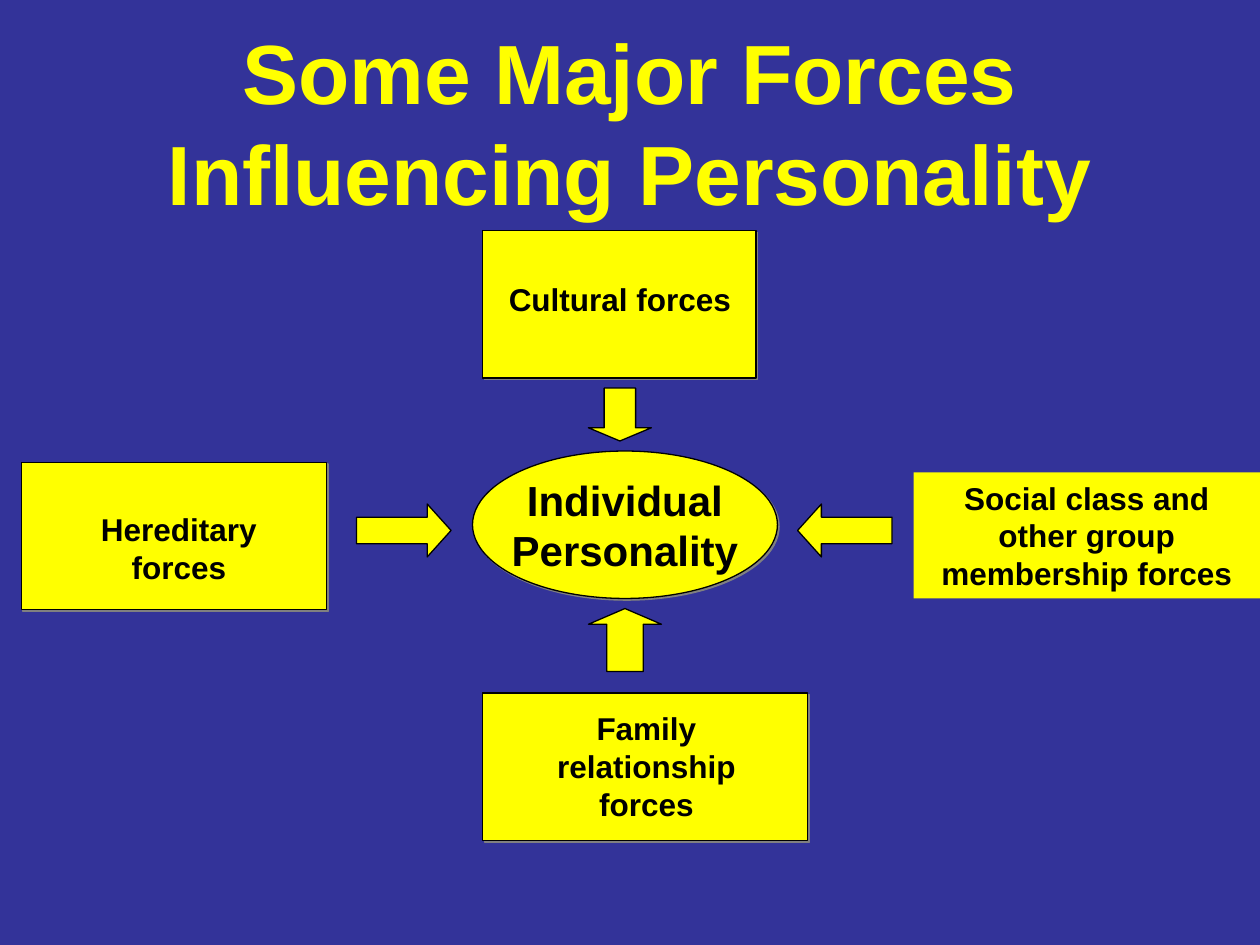
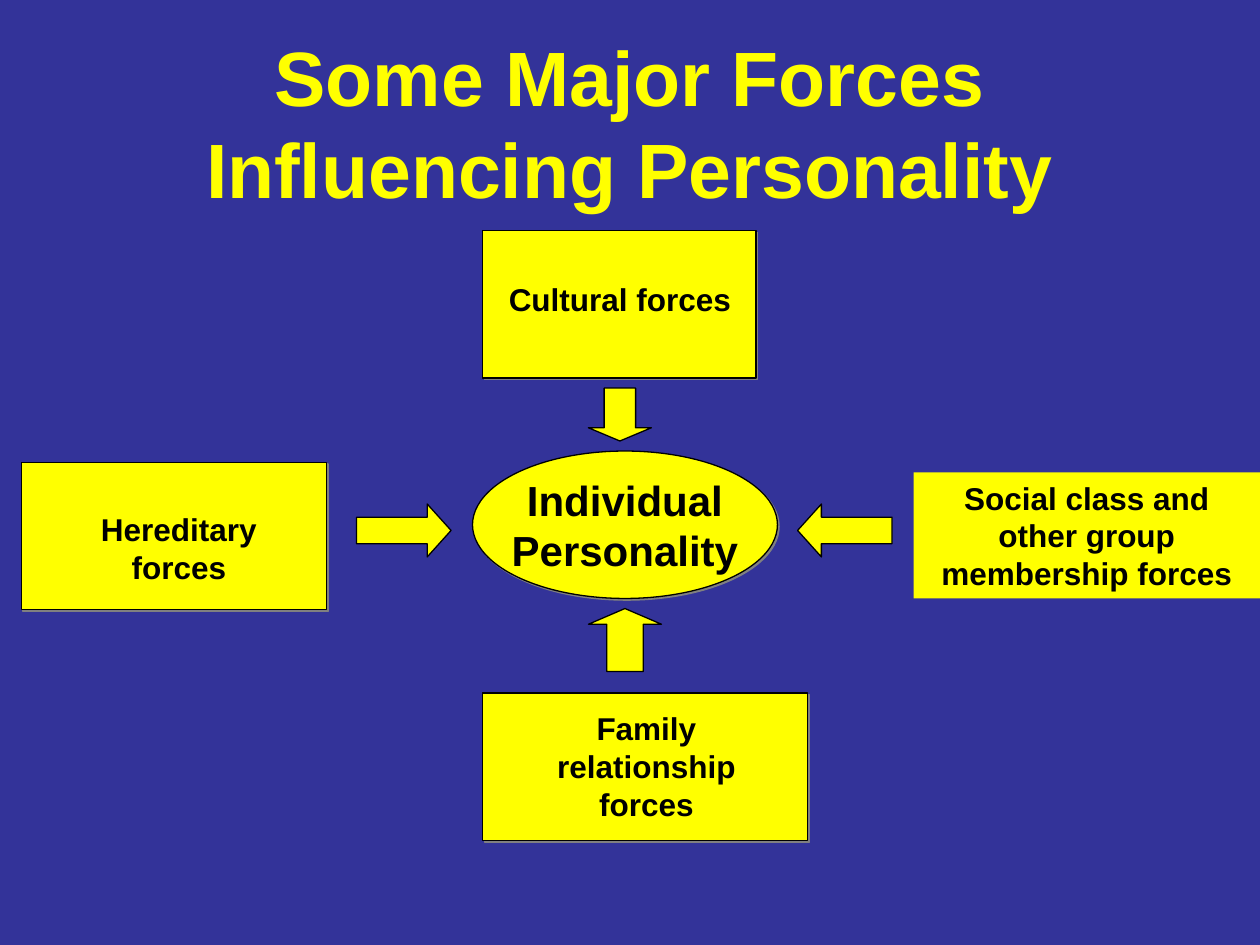
from lxml import etree
from pptx import Presentation
from pptx import util as u
from pptx.dml.color import RGBColor
from pptx.enum import shapes, text
from pptx.oxml.ns import qn

BLUE, YELLOW, BLACK, GRAY = "333399", "FFFF00", "000000", "808080"
FONT = "Arial"
KIND = shapes.MSO_SHAPE


def paint(target, color):
    target.solid()
    target.fore_color.rgb = RGBColor.from_string(color)


def write(shape, lines, size, color, wrap=True, anchor=text.MSO_ANCHOR.MIDDLE):
    frame = shape.text_frame
    frame.word_wrap = wrap
    frame.auto_size = text.MSO_AUTO_SIZE.NONE
    frame.vertical_anchor = anchor
    for index, line in enumerate(lines):
        paragraph = frame.add_paragraph() if index else frame.paragraphs[0]
        paragraph.alignment = text.PP_ALIGN.CENTER
        run = paragraph.add_run()
        run.text = line
        run.font.name = FONT
        run.font.size = u.Pt(size)
        run.font.bold = True
        paint(run.font.fill, color)


title_sizes = [48, 44]
framed_shapes = [
    (KIND.RECTANGLE, 3.83, 1.83, 2.17, 1.17),
    (KIND.RECTANGLE, 0.17, 3.67, 2.42, 1.17),
    (KIND.RECTANGLE, 3.83, 5.5, 2.58, 1.17),
    (KIND.OVAL, 3.75, 3.58, 2.42, 1.17),
]
force_labels = [
    ("Social class and other group membership forces", 7.25, 3.75, 2.75, 1),
    ("Family relationship forces", 3.92, 5.58, 2.42, 1),
    ("Hereditary forces", 0.42, 4, 2, 0.7),
    ("Cultural forces", 3.92, 2.17, 2, 0.4),
]
arrows = [
    (KIND.RIGHT_ARROW, 2.83, 4, 0.75, 0.42, 0.45),
    (KIND.LEFT_ARROW, 6.33, 4, 0.75, 0.42, 0.45),
    (KIND.UP_ARROW, 4.67, 4.83, 0.58, 0.5, 0.25),
    (KIND.DOWN_ARROW, 4.67, 3.08, 0.5, 0.42, 0.25),
]

presentation = Presentation()
presentation.slide_width = u.Inches(10)
presentation.slide_height = u.Inches(7.5)
paint(presentation.slide_master.background.fill, BLUE)

for title_size in title_sizes:
    slide = presentation.slides.add_slide(presentation.slide_layouts[5])
    title = slide.shapes.title
    title.left, title.top = u.Inches(0.75), u.Inches(0.18)
    title.width, title.height = u.Inches(8.5), u.Inches(1.57)
    write(title, ["Some Major Forces Influencing Personality"], title_size, YELLOW)

    for kind, *box in framed_shapes:
        shape = slide.shapes.add_shape(kind, *map(u.Inches, box))
        paint(shape.fill, YELLOW)
        paint(shape.line.fill, BLACK)
        shape.line.width = u.Pt(0.75)
        shape.shadow.inherit = False
        effects = shape._element.spPr.find(qn("a:effectLst"))
        shadow = etree.SubElement(effects, qn("a:outerShdw"), dist=str(u.Pt(1.4)),
                                  dir="2700000", algn="ctr", rotWithShape="0")
        etree.SubElement(shadow, qn("a:srgbClr"), val=GRAY)
        if kind == KIND.OVAL:
            write(shape, ["Individual", "Personality"], 24, BLACK, wrap=False)

    for label, *box in force_labels:
        shape = slide.shapes.add_textbox(*map(u.Inches, box))
        paint(shape.fill, YELLOW)
        write(shape, [label], 18, BLACK, anchor=text.MSO_ANCHOR.TOP)

    for kind, *box, head in arrows:
        arrow = slide.shapes.add_shape(kind, *map(u.Inches, box))
        arrow.adjustments[0] = 0.5
        arrow.adjustments[1] = head
        paint(arrow.fill, YELLOW)
        paint(arrow.line.fill, BLACK)
        arrow.line.width = u.Pt(0.75)
        arrow.shadow.inherit = False

presentation.save("out.pptx")
